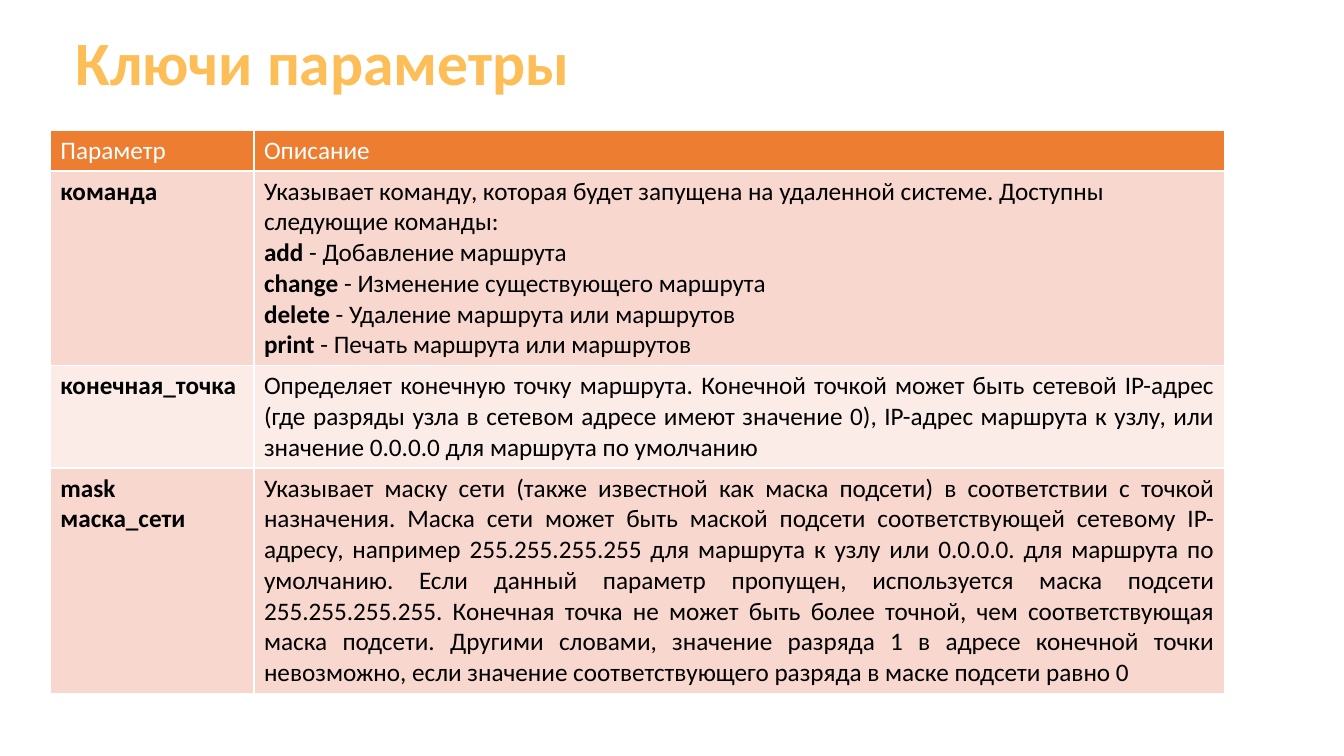
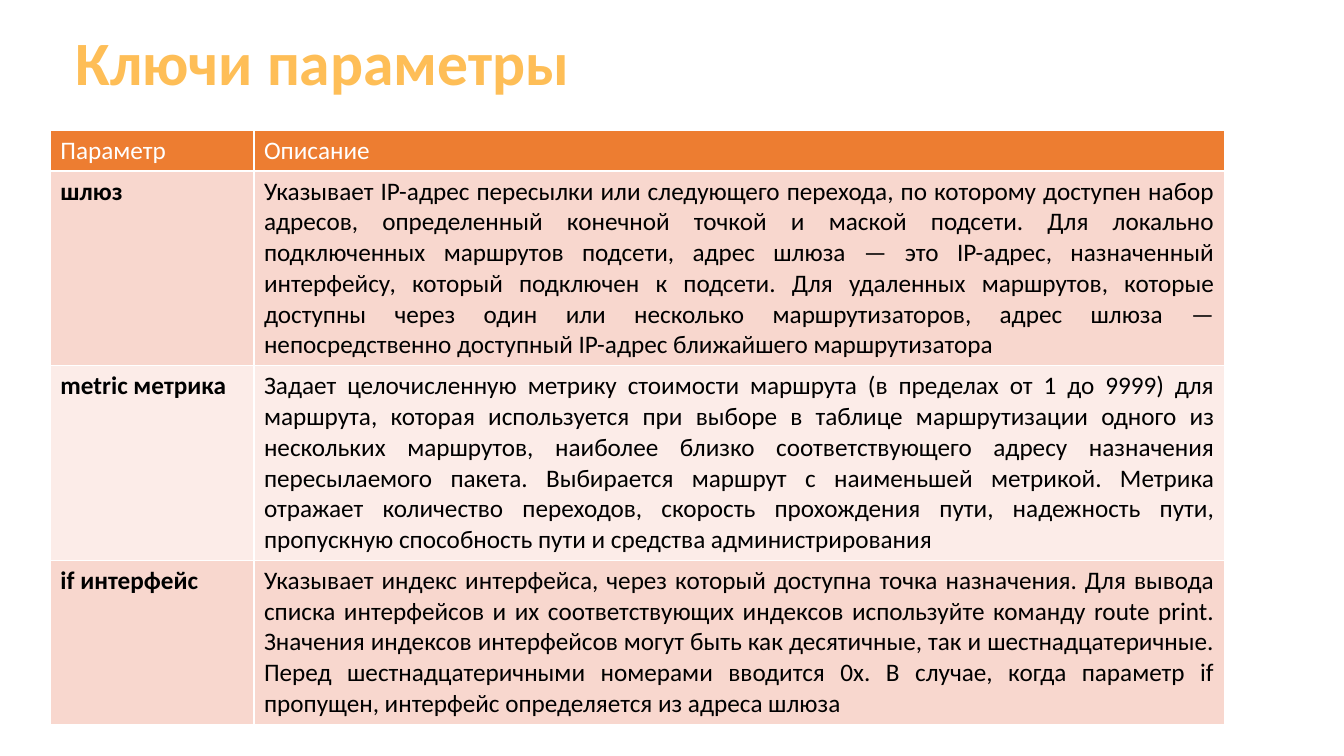
import pptx
import pptx.dml.color
import pptx.enum.text
import pptx.util

Cm = pptx.util.Cm
Pt = pptx.util.Pt
ALIGN = pptx.enum.text.PP_ALIGN

FONT = "Calibri"
TITLE_COLOR = "FEBE57"
HEADER_FILL = "ED7D31"
BAND_FILLS = ("F8D7CE", "FCECE8")
HEADER_TEXT = "FFFFFF"
BODY_TEXT = "000000"

TITLE = "Ключи параметры"
HEADERS = ("Параметр", "Описание")
COLUMN_WIDTHS = (5.13, 24.46)
TABLE_LEFT, TABLE_TOP = 1.27, 3.28
LINE_HEIGHT, CELL_PADDING = 0.77, 0.25

COMMAND_LINES = (
    ("", "Указывает команду, которая будет запущена на удаленной системе. Доступны следующие команды:"),
    ("add", " - Добавление маршрута"),
    ("change", " - Изменение существующего маршрута"),
    ("delete", " - Удаление маршрута или маршрутов"),
    ("print", " - Печать маршрута или маршрутов"),
)

SLIDES = (
    (
        ("команда", COMMAND_LINES, 6),
        (
            "конечная_точка",
            "Определяет конечную точку маршрута. Конечной точкой может быть сетевой IP-адрес "
            "(где разряды узла в сетевом адресе имеют значение 0), IP-адрес маршрута к узлу, "
            "или значение 0.0.0.0 для маршрута по умолчанию",
            3,
        ),
        (
            "mask маска_сети",
            "Указывает маску сети (также известной как маска подсети) в соответствии с точкой "
            "назначения. Маска сети может быть маской подсети соответствующей сетевому IP-адресу, "
            "например 255.255.255.255 для маршрута к узлу или 0.0.0.0. для маршрута по умолчанию. "
            "Если данный параметр пропущен, используется маска подсети 255.255.255.255. Конечная "
            "точка не может быть более точной, чем соответствующая маска подсети. Другими словами, "
            "значение разряда 1 в адресе конечной точки невозможно, если значение соответствующего "
            "разряда в маске подсети равно 0",
            7,
        ),
    ),
    (
        (
            "шлюз",
            "Указывает IP-адрес пересылки или следующего перехода, по которому доступен набор "
            "адресов, определенный конечной точкой и маской подсети. Для локально подключенных "
            "маршрутов подсети, адрес шлюза — это IP-адрес, назначенный интерфейсу, который "
            "подключен к подсети. Для удаленных маршрутов, которые доступны через один или "
            "несколько маршрутизаторов, адрес шлюза — непосредственно доступный IP-адрес "
            "ближайшего маршрутизатора",
            6,
        ),
        (
            "metric метрика",
            "Задает целочисленную метрику стоимости маршрута (в пределах от 1 до 9999) для "
            "маршрута, которая используется при выборе в таблице маршрутизации одного из "
            "нескольких маршрутов, наиболее близко соответствующего адресу назначения "
            "пересылаемого пакета. Выбирается маршрут с наименьшей метрикой. Метрика отражает "
            "количество переходов, скорость прохождения пути, надежность пути, пропускную "
            "способность пути и средства администрирования",
            6,
        ),
        (
            "if интерфейс",
            "Указывает индекс интерфейса, через который доступна точка назначения. Для вывода "
            "списка интерфейсов и их соответствующих индексов используйте команду route print. "
            "Значения индексов интерфейсов могут быть как десятичные, так и шестнадцатеричные. "
            "Перед шестнадцатеричными номерами вводится 0х. В случае, когда параметр if пропущен, "
            "интерфейс определяется из адреса шлюза",
            5,
        ),
    ),
)


def color(value):
    return pptx.dml.color.RGBColor.from_string(value)


def format_run(run, size, text_color, bold):
    run.font.name = FONT
    run.font.size = Pt(size)
    run.font.bold = bold
    run.font.color.rgb = color(text_color)


def add_title(slide):
    title = slide.shapes.title
    title.left, title.top = Cm(1.65), Cm(-0.2)
    title.width, title.height = Cm(29.21), Cm(3.68)
    frame = title.text_frame
    frame.text = TITLE
    frame.word_wrap = True
    frame.auto_size = pptx.enum.text.MSO_AUTO_SIZE.NONE
    frame.vertical_anchor = pptx.enum.text.MSO_ANCHOR.MIDDLE
    paragraph = frame.paragraphs[0]
    paragraph.alignment = ALIGN.LEFT
    paragraph.line_spacing = 0.9
    format_run(paragraph.runs[0], 44, TITLE_COLOR, True)


def fill_cell(cell, text, fill, text_color=BODY_TEXT, bold=False, alignment=ALIGN.LEFT):
    cell.fill.solid()
    cell.fill.fore_color.rgb = color(fill)
    paragraph = cell.text_frame.paragraphs[0]
    paragraph.alignment = alignment
    paragraph.text = text
    for run in paragraph.runs:
        format_run(run, 18, text_color, bold)


def add_command_lines(cell, lines):
    paragraph = cell.text_frame.paragraphs[0]
    for index, (command, description) in enumerate(lines):
        if index:
            paragraph.add_line_break()
        for text, bold in ((command, True), (description, False)):
            if text:
                run = paragraph.add_run()
                run.text = text
                format_run(run, 18, BODY_TEXT, bold)


def add_parameter_table(slide, parameters):
    line_counts = [1] + [lines for _, _, lines in parameters]
    heights = [LINE_HEIGHT * count + CELL_PADDING for count in line_counts]
    table = slide.shapes.add_table(
        len(heights), len(HEADERS), Cm(TABLE_LEFT), Cm(TABLE_TOP),
        Cm(sum(COLUMN_WIDTHS)), Cm(sum(heights)),
    ).table
    for column, width in zip(table.columns, COLUMN_WIDTHS):
        column.width = Cm(width)
    for row, height in zip(table.rows, heights):
        row.height = Cm(height)
    for index, header in enumerate(HEADERS):
        fill_cell(table.cell(0, index), header, HEADER_FILL, HEADER_TEXT)
    for index, (name, description, _) in enumerate(parameters):
        fill = BAND_FILLS[index % 2]
        name_cell, description_cell = table.rows[index + 1].cells
        fill_cell(name_cell, name, fill, bold=True)
        if isinstance(description, str):
            fill_cell(description_cell, description, fill, alignment=ALIGN.JUSTIFY)
        else:
            fill_cell(description_cell, "", fill)
            add_command_lines(description_cell, description)


def main():
    presentation = pptx.Presentation()
    presentation.slide_width, presentation.slide_height = Cm(33.87), Cm(19.05)
    title_only = presentation.slide_layouts[5]
    for parameters in SLIDES:
        slide = presentation.slides.add_slide(title_only)
        add_title(slide)
        add_parameter_table(slide, parameters)
    presentation.save("out.pptx")


if __name__ == "__main__":
    main()
